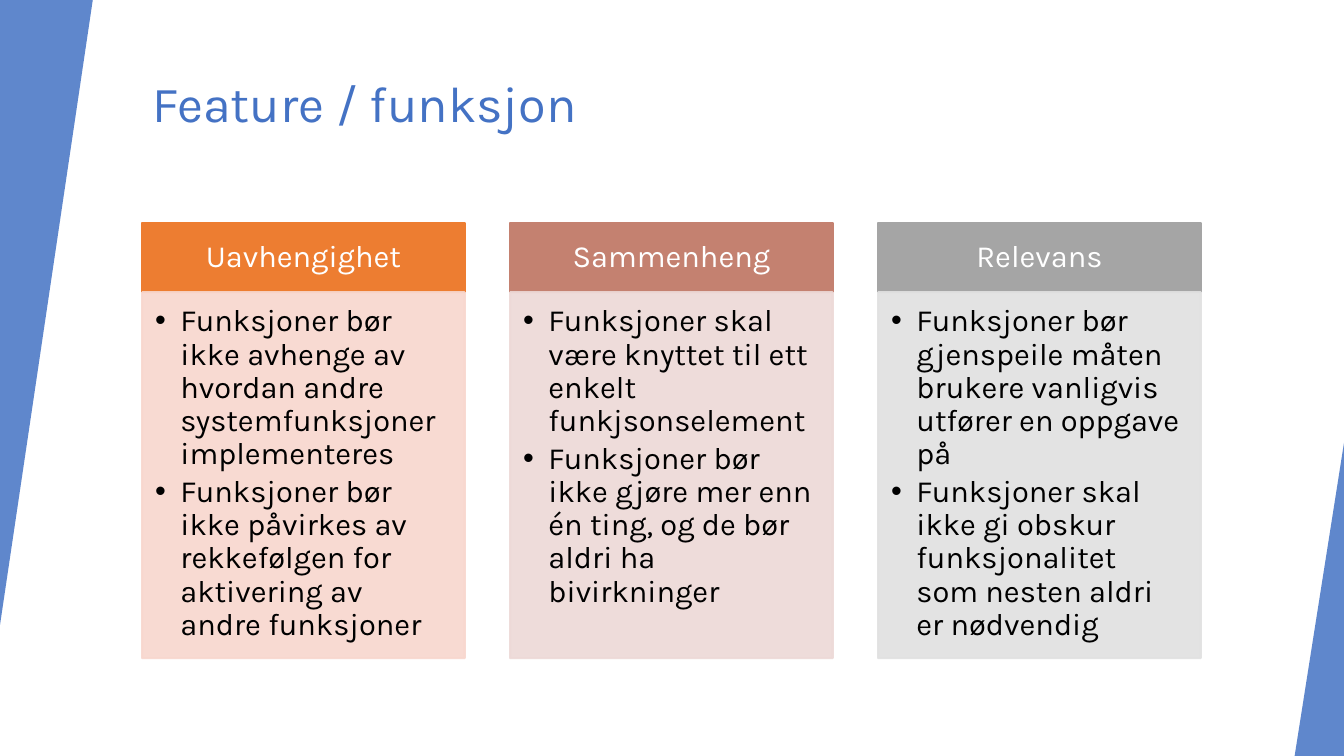
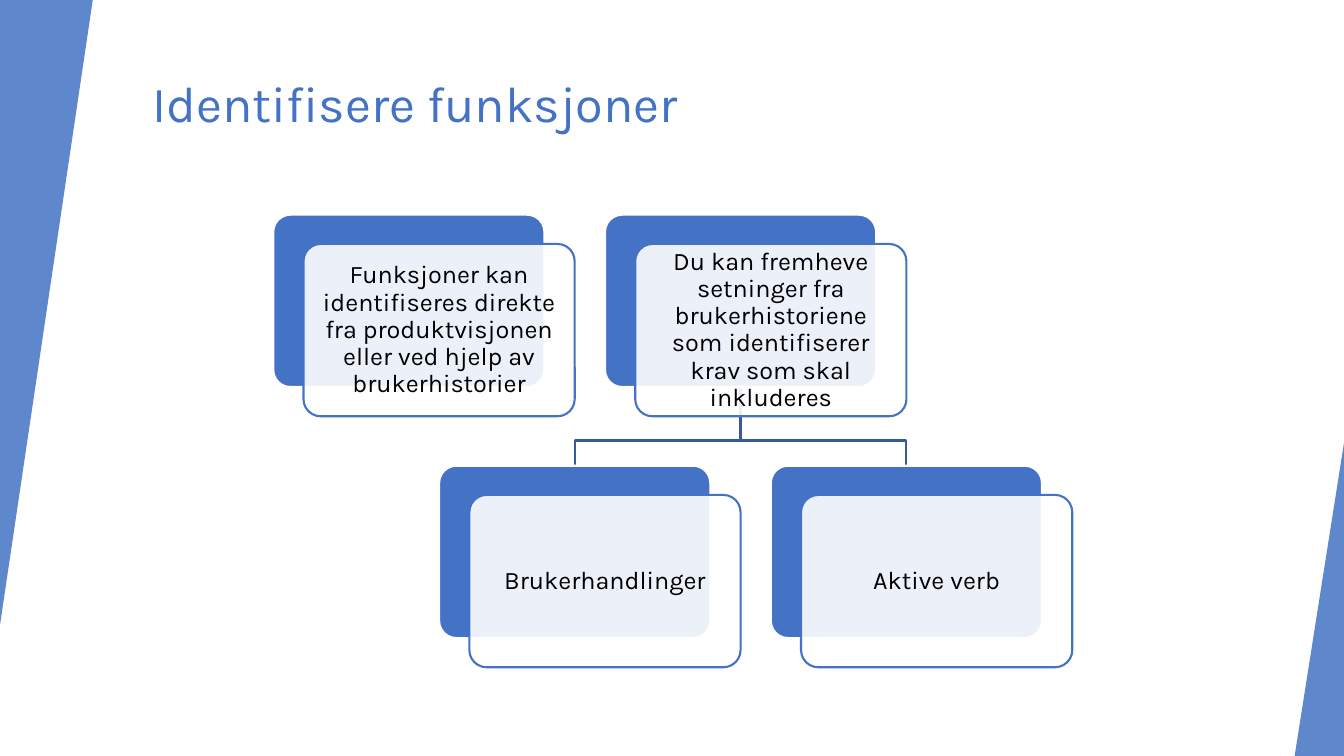
import pptx
import pptx.util
import pptx.dml.color
import pptx.enum.shapes
import pptx.enum.text
import pptx.oxml
import pptx.oxml.ns

Inches = pptx.util.Inches
Pt = pptx.util.Pt
KIND = pptx.enum.shapes.MSO_SHAPE
ALIGN = pptx.enum.text.PP_ALIGN
ANCHOR = pptx.enum.text.MSO_ANCHOR
qn = pptx.oxml.ns.qn

FONT = "Karla"
HUES = {
    "blue": "4472C4", "navy": "365B9D", "white": "FFFFFF", "black": "000000",
    "orange": "ED7D31", "peach": "F8D7CE", "rust": "C48170", "rose": "EDD9D7",
    "gray": "A5A5A5", "mist": "E1E1E1",
}
CARDS = [
    ("Uavhengighet", "orange", "peach", [
        "Funksjoner bør ikke avhenge av hvordan andre systemfunksjoner implementeres",
        "Funksjoner bør ikke påvirkes av rekkefølgen for aktivering av andre funksjoner"]),
    ("Sammenheng", "rust", "rose", [
        "Funksjoner skal være knyttet til ett enkelt funkjsonselement",
        "Funksjoner bør ikke gjøre mer enn én ting, og de bør aldri ha bivirkninger"]),
    ("Relevans", "gray", "mist", [
        "Funksjoner bør gjenspeile måten brukere vanligvis utfører en oppgave på",
        "Funksjoner skal ikke gi obskur funksjonalitet som nesten aldri er nødvendig"]),
]
ROOTS = [
    "Funksjoner kan identifiseres direkte fra produktvisjonen eller ved hjelp av brukerhistorier",
    "Du kan fremheve setninger fra brukerhistoriene som identifiserer krav som skal inkluderes",
]
LEAVES = ["Brukerhandlinger", "Aktive verb"]
NODE_W, NODE_H = 2.69, 1.71


def tint(fill, hue, alpha=100):
    fill.solid()
    fill.fore_color.rgb = pptx.dml.color.RGBColor.from_string(HUES[hue])
    if alpha < 100:
        color = fill._xPr.find(qn("a:solidFill"))[0]
        pptx.oxml.ns  # noqa
        color.append(color.makeelement(qn("a:alpha"), {"val": str(alpha * 1000)}))


def add_box(slide, kind, box, hue, alpha=100, edge=None, edge_alpha=100, adjust=None):
    shape = slide.shapes.add_shape(kind, *map(Inches, box))
    shape.shadow.inherit = False
    tint(shape.fill, hue, alpha)
    if edge:
        tint(shape.line.fill, edge, edge_alpha)
        shape.line.width = Pt(1.5)
    else:
        shape.line.fill.background()
    if adjust is not None:
        shape.adjustments[0] = adjust
    return shape


def write(shape, lines, size=18, hue="black", align=ALIGN.CENTER, anchor=ANCHOR.MIDDLE,
          inset=(0.07, 0.07, 0.07, 0.07), pitch=0.9, after=0, bullet=None):
    frame = shape.text_frame
    frame.word_wrap = True
    frame.auto_size = pptx.enum.text.MSO_AUTO_SIZE.NONE
    frame.vertical_anchor = anchor
    (frame.margin_left, frame.margin_top,
     frame.margin_right, frame.margin_bottom) = map(Inches, inset)
    for i, line in enumerate(lines):
        para = frame.add_paragraph() if i else frame.paragraphs[0]
        para.alignment = align
        para.line_spacing = pitch
        para.space_after = Pt(after)
        run = para.add_run()
        run.text = line
        run.font.name = FONT
        run.font.size = Pt(size)
        run.font.color.rgb = pptx.dml.color.RGBColor.from_string(HUES[hue])
        if bullet:
            props = para._p.get_or_add_pPr()
            props.set("marL", str(Inches(0.25)))
            props.set("indent", str(-Inches(0.25)))
            for tag, key, value in (("a:buFont", "typeface", "Arial"),
                                    ("a:buChar", "char", bullet)):
                props.append(props.makeelement(qn(tag), {key: value}))


def start(deck, title):
    slide = deck.slides.add_slide(deck.slide_layouts[5])
    head = slide.shapes.title
    head.left, head.top, head.width, head.height = map(Inches, (1.41, 0.67, 11.15, 1.2))
    write(head, [title], size=36, hue="blue", align=ALIGN.LEFT, anchor=ANCHOR.TOP,
          inset=(0.1, 0.05, 0.1, 0.05), pitch=1.0)
    for box, turn in (((0, 0, 0.92, 6.2), 180), ((12.84, 4.39, 0.49, 3.11), 0)):
        wedge = add_box(slide, KIND.ISOSCELES_TRIANGLE, box, "blue", alpha=85, adjust=1)
        wedge.rotation = turn
    return slide


def add_card(slide, box, name, dark, light, points):
    left, top, width, height = box
    band = 0.69
    head = add_box(slide, KIND.RECTANGLE, (left, top, width, band), dark, edge=dark)
    write(head, [name], size=22, hue="white", inset=(0.17, 0.1, 0.17, 0.1))
    body = add_box(slide, KIND.RECTANGLE, (left, top + band, width, height - band), light,
                   alpha=90, edge=light, edge_alpha=90)
    write(body, points, size=22, align=ALIGN.LEFT, anchor=ANCHOR.TOP,
          inset=(0.13, 0.13, 0.17, 0.19), after=3, bullet="•")


def add_node(slide, left, top, text):
    size = (NODE_W, NODE_H)
    add_box(slide, KIND.ROUNDED_RECTANGLE, (left, top, *size), "blue",
            edge="white", adjust=0.1)
    front = add_box(slide, KIND.ROUNDED_RECTANGLE, (left + 0.3, top + 0.29, *size), "white",
                    alpha=90, edge="blue", adjust=0.1)
    write(front, [text])


def add_branch(slide, begin, end, bend):
    points = [begin, (begin[0], bend), (end[0], bend), end]
    points = [(Inches(x), Inches(y)) for x, y in points]
    path = slide.shapes.build_freeform(*points[0])
    path.add_line_segments(points[1:], close=False)
    branch = path.convert_to_shape()
    branch.shadow.inherit = False
    branch.fill.background()
    tint(branch.line.fill, "navy")
    branch.line.width = Pt(1.5)


def add_tree(slide, left, top):
    step, drop = 3.29, 2.49
    low = top + drop
    tops = [left + i * step for i in range(len(ROOTS))]
    lows = [x + step / 2 for x in tops]
    begin = (tops[-1] + NODE_W / 2, top + NODE_H)
    for x in lows:
        add_branch(slide, begin, (x + NODE_W / 2, low), low - 0.25)
    for row, y, texts in ((tops, top, ROOTS), (lows, low, LEAVES)):
        for x, text in zip(row, texts):
            add_node(slide, x, y, text)


def main():
    deck = pptx.Presentation()
    deck.slide_width, deck.slide_height = Inches(13.33), Inches(7.5)
    slide = start(deck, "Feature / funksjon")
    for i, card in enumerate(CARDS):
        add_card(slide, (1.41 + i * 3.65, 2.21, 3.2, 4.32), *card)
    add_tree(start(deck, "Identifisere funksjoner"), 2.71, 2.13)
    deck.save("out.pptx")


if __name__ == "__main__":
    main()
